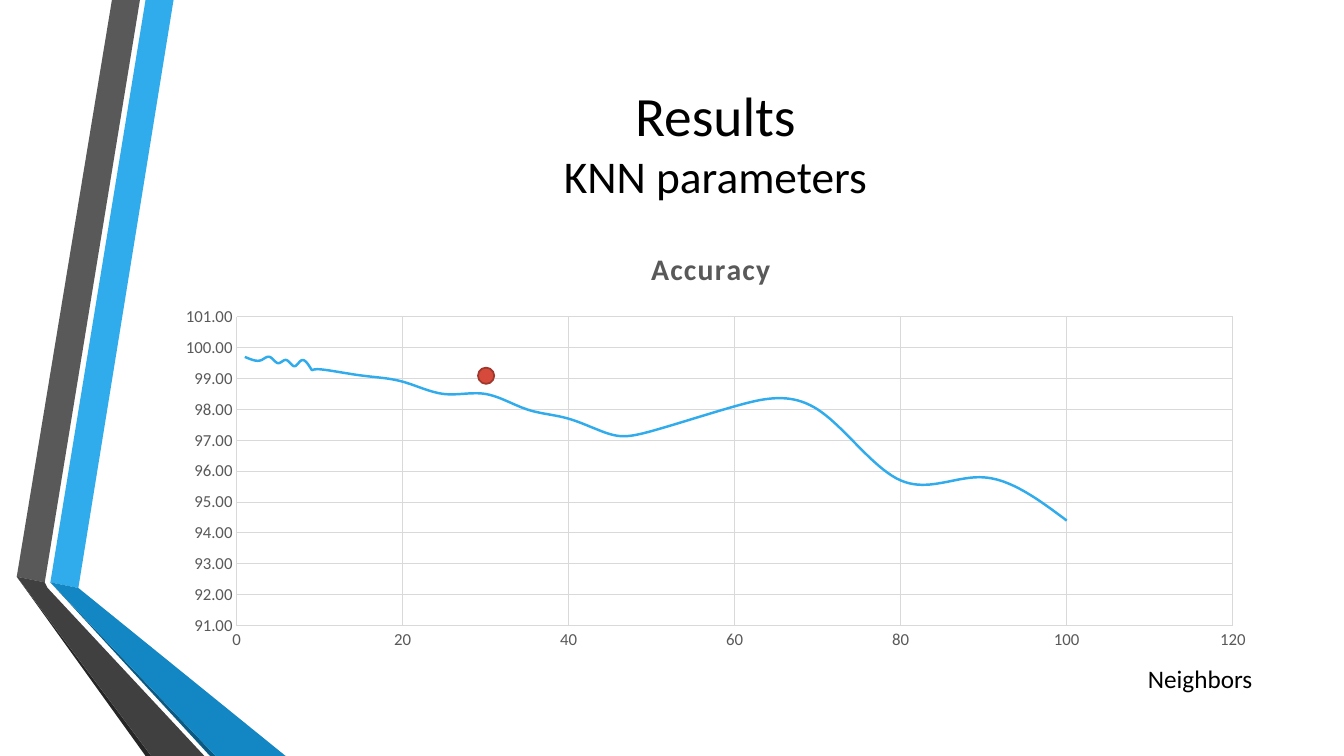
import dataclasses

import lxml.etree
import pptx
import pptx.chart.chart
import pptx.chart.data
import pptx.dml.color
import pptx.enum.chart
import pptx.enum.shapes
import pptx.enum.text
import pptx.oxml
import pptx.oxml.ns
import pptx.shapes.shapetree
import pptx.slide
import pptx.util

Pt = pptx.util.Pt
Point = tuple[float, float]


@dataclasses.dataclass(frozen=True)
class Theme:
    font: str = "Calibri"
    text: str = "000000"
    muted: str = "595959"
    grid: str = "D9D9D9"
    blue: str = "30ACEC"
    blue_shade: str = "1287C3"
    blue_edge: str = "0C5A82"
    grey: str = "595959"
    grey_shade: str = "404040"
    grey_edge: str = "262626"
    marker: str = "D64A3B"
    marker_line: str = "9E372C"
    title_size: float = 39.6
    subtitle_size: float = 32.4
    chart_title_size: float = 21.3
    label_size: float = 18
    tick_size: float = 12
    chart_size: float = 10


THEME = Theme()


@dataclasses.dataclass(frozen=True)
class Band:
    color: str
    points: tuple[Point, ...]


@dataclasses.dataclass(frozen=True)
class Box:
    left: float
    top: float
    width: float
    height: float

    def lengths(self) -> tuple[pptx.util.Length, ...]:
        return Pt(self.left), Pt(self.top), Pt(self.width), Pt(self.height)


SLIDE_WIDTH, SLIDE_HEIGHT = 960, 540
BANDS = (
    Band(THEME.blue, ((36, 416.5), (55.7, 420), (124.5, 0), (104.5, 0))),
    Band(THEME.grey, ((100, 0), (80, 0), (11.8, 412.5), (31.5, 415.5))),
    Band(THEME.grey_edge, ((11.8, 412.5), (104.5, 540), (108.5, 540))),
    Band(THEME.blue_edge, ((36, 416.5), (149.8, 540), (154, 540))),
    Band(THEME.blue_shade, ((36, 416.5), (154, 540), (204, 540), (55.7, 420))),
    Band(THEME.grey_shade, ((145.5, 540), (34.5, 420), (31.5, 415.5), (11.8, 412.5), (108.5, 540))),
)
TITLE_BOX = Box(116.5, 54, 789, 138.2)
CHART_BOX = Box(116.5, 164.2, 789, 306)
NEIGHBORS_BOX = Box(812.9, 470.2, 137.5, 29)
MARKER_BOX = Box(341.4, 262.6, 11.6, 11.6)

ACCURACY_BY_NEIGHBORS = {
    1: 99.7, 2: 99.6, 3: 99.6, 4: 99.7, 5: 99.5, 6: 99.6, 7: 99.4, 8: 99.6,
    9: 99.3, 10: 99.3, 15: 99.1, 20: 98.9, 25: 98.5, 30: 98.5, 35: 98,
    40: 97.7, 45: 97.2, 50: 97.3, 60: 98.1, 70: 98, 80: 95.7, 90: 95.8, 100: 94.4,
}


def rgb(color: str) -> pptx.dml.color.RGBColor:
    return pptx.dml.color.RGBColor.from_string(color)


def style_font(font: pptx.text.text.Font, size: float, color: str, bold: bool = False) -> None:
    font.name = THEME.font
    font.size = Pt(size)
    font.color.rgb = rgb(color)
    font.bold = bold


def draw_band(shapes: pptx.shapes.shapetree.SlideShapes, band: Band) -> None:
    start, *others = band.points
    builder = shapes.build_freeform(*start, scale=float(Pt(1)))
    builder.add_line_segments(others, close=True)
    shape = builder.convert_to_shape()
    shape.shadow.inherit = False
    shape.fill.solid()
    shape.fill.fore_color.rgb = rgb(band.color)
    shape.line.fill.background()


def draw_title(shapes: pptx.shapes.shapetree.SlideShapes) -> None:
    frame = shapes.add_textbox(*TITLE_BOX.lengths()).text_frame
    frame.word_wrap = True
    frame.vertical_anchor = pptx.enum.text.MSO_ANCHOR.MIDDLE
    frame.margin_bottom = Pt(47.3)
    paragraph = frame.paragraphs[0]
    paragraph.alignment = pptx.enum.text.PP_ALIGN.CENTER
    heading = paragraph.add_run()
    heading.text = "Results"
    style_font(heading.font, THEME.title_size, THEME.text)
    paragraph.add_line_break()
    subtitle = paragraph.add_run()
    subtitle.text = "KNN parameters"
    style_font(subtitle.font, THEME.subtitle_size, THEME.text)


def place(parent: lxml.etree._Element, successor: str, **fractions: float) -> None:
    """Give a chart part a fixed place, in fractions of the chart's size."""
    for automatic in parent.findall(pptx.oxml.ns.qn("c:layout")):
        parent.remove(automatic)
    target = '<c:layoutTarget val="inner"/>' if "w" in fractions else ""
    modes = "".join(f'<c:{axis}Mode val="edge"/>' for axis in "xy")
    values = "".join(f'<c:{name} val="{value}"/>' for name, value in fractions.items())
    layout = pptx.oxml.parse_xml(
        f'<c:layout {pptx.oxml.ns.nsdecls("c")}><c:manualLayout>'
        f"{target}{modes}{values}</c:manualLayout></c:layout>"
    )
    parent.find(pptx.oxml.ns.qn(successor)).addprevious(layout)


def style_axis(axis: pptx.chart.axis._BaseAxis, low: float, high: float, step: float, number_format: str) -> None:
    axis.minimum_scale, axis.maximum_scale, axis.major_unit = low, high, step
    axis.major_tick_mark = axis.minor_tick_mark = pptx.enum.chart.XL_TICK_MARK.NONE
    axis.has_major_gridlines = True
    for line in (axis.format.line, axis.major_gridlines.format.line):
        line.color.rgb = rgb(THEME.grid)
        line.width = Pt(0.75)
    axis.tick_labels.number_format = number_format
    axis.tick_labels.number_format_is_linked = False
    style_font(axis.tick_labels.font, THEME.tick_size, THEME.muted)


def draw_chart(shapes: pptx.shapes.shapetree.SlideShapes) -> None:
    data = pptx.chart.data.XyChartData(number_format="0.00")
    accuracy = data.add_series("Accuracy ")
    for neighbors, value in ACCURACY_BY_NEIGHBORS.items():
        accuracy.add_data_point(neighbors, value)
    chart_type = pptx.enum.chart.XL_CHART_TYPE.XY_SCATTER_SMOOTH_NO_MARKERS
    chart = shapes.add_chart(chart_type, *CHART_BOX.lengths(), data).chart
    style_font(chart.font, THEME.chart_size, THEME.text)
    chart.has_legend = False
    chart.has_title = True
    paragraph = chart.chart_title.text_frame.paragraphs[0]
    run = paragraph.add_run()
    run.text = "Accuracy "
    style_font(run.font, THEME.chart_title_size, THEME.muted, bold=True)
    run.font._element.set("spc", "100")
    chart.chart_title.include_in_layout = False
    place(chart.chart_title._element, "c:overlay", x=0.437, y=0.031)
    place(chart._chartSpace.chart.plotArea, "c:scatterChart", x=0.0665, y=0.203, w=0.902, h=0.721)
    style_axis(chart.category_axis, 0, 120, 20, "General")
    style_axis(chart.value_axis, 91, 101, 1, "0.00")
    plot = chart.plots[0]
    plot.vary_by_categories = False
    series = plot.series[0]
    series.format.line.color.rgb = rgb(THEME.blue)
    series.format.line.width = Pt(1.75)
    series.marker.style = pptx.enum.chart.XL_MARKER_STYLE.NONE
    series._element.get_or_add_smooth().set("val", "1")


def draw_axis_label(shapes: pptx.shapes.shapetree.SlideShapes) -> None:
    frame = shapes.add_textbox(*NEIGHBORS_BOX.lengths()).text_frame
    frame.word_wrap = True
    frame.text = "Neighbors"
    style_font(frame.paragraphs[0].font, THEME.label_size, THEME.text)


def draw_marker(shapes: pptx.shapes.shapetree.SlideShapes) -> None:
    shape = shapes.add_shape(pptx.enum.shapes.MSO_SHAPE.OVAL, *MARKER_BOX.lengths())
    shape.shadow.inherit = False
    shape.fill.solid()
    shape.fill.fore_color.rgb = rgb(THEME.marker)
    shape.line.color.rgb = rgb(THEME.marker_line)
    shape.line.width = Pt(1.25)


def main() -> None:
    presentation = pptx.Presentation()
    presentation.slide_width, presentation.slide_height = Pt(SLIDE_WIDTH), Pt(SLIDE_HEIGHT)
    shapes = presentation.slides.add_slide(presentation.slide_layouts[6]).shapes
    for band in BANDS:
        draw_band(shapes, band)
    draw_title(shapes)
    draw_chart(shapes)
    draw_axis_label(shapes)
    draw_marker(shapes)
    presentation.save("out.pptx")


if __name__ == "__main__":
    main()
